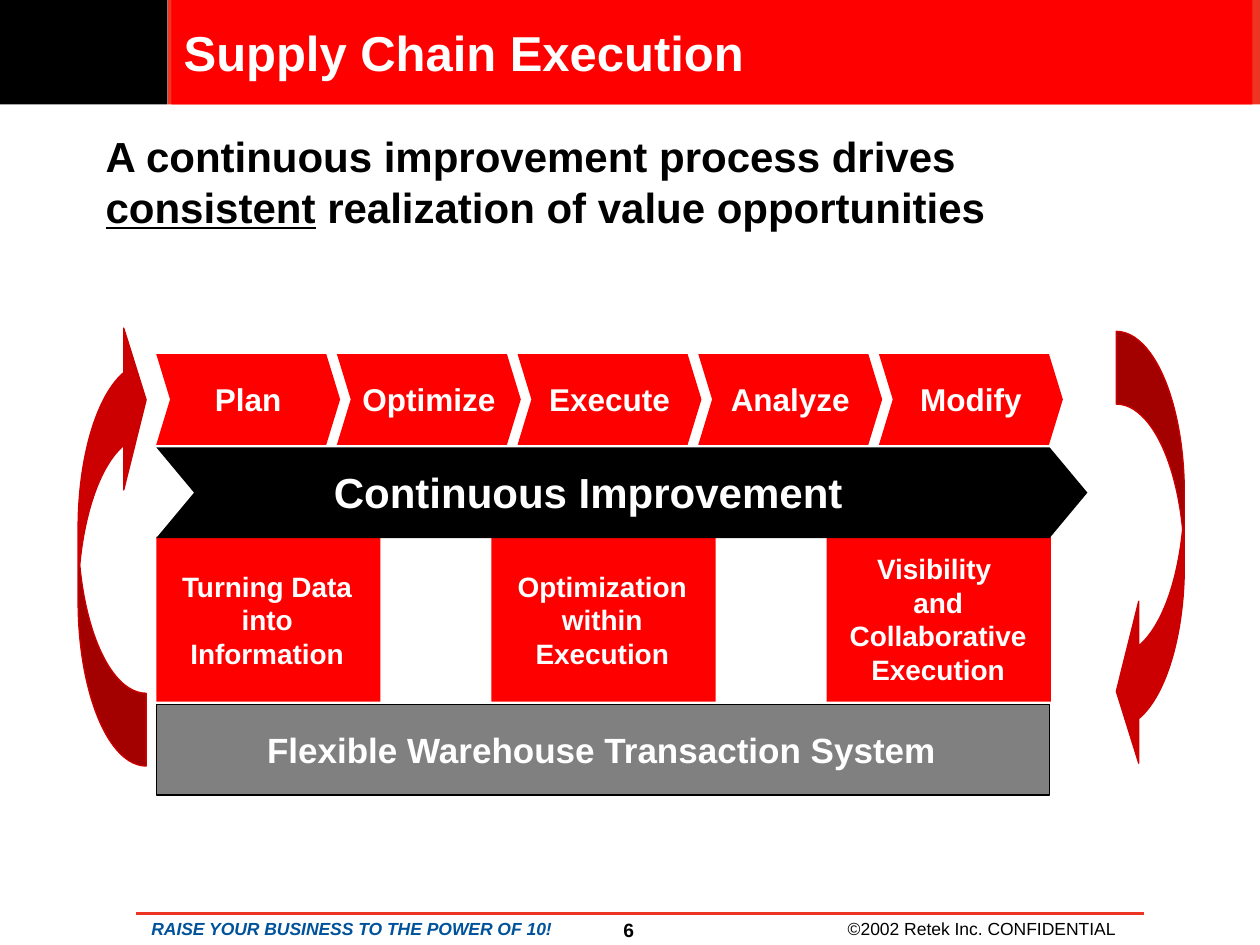
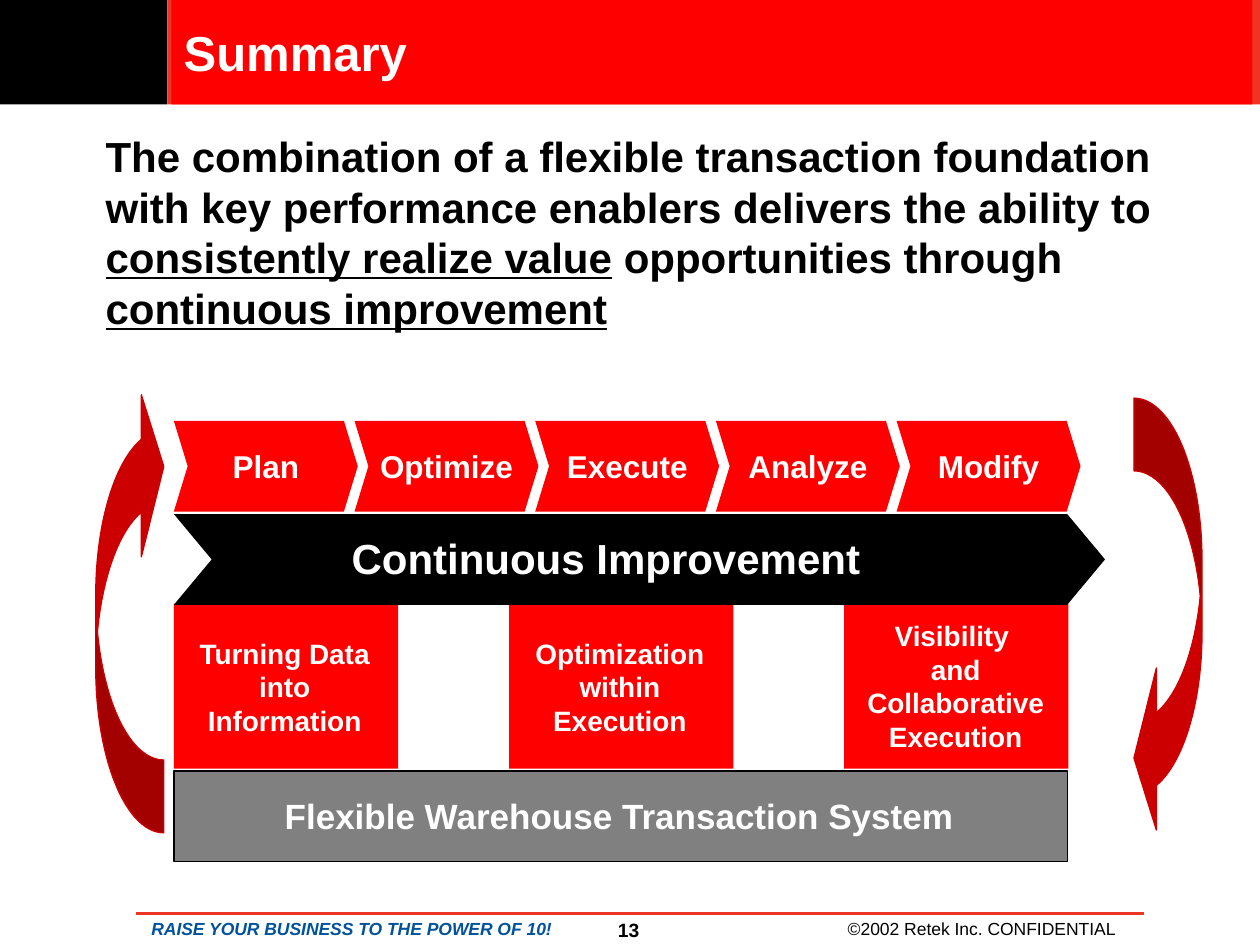
from dataclasses import dataclass
from typing import NamedTuple, Optional

from lxml.etree import SubElement
from pptx import Presentation
from pptx.dml.color import RGBColor
from pptx.enum.shapes import MSO_CONNECTOR, MSO_SHAPE
from pptx.enum.text import MSO_ANCHOR as Anchor, PP_ALIGN as Align
from pptx.oxml.ns import qn
from pptx.util import Inches, Pt

FONT = "Arial"
BLACK = RGBColor(0x00, 0x00, 0x00)
WHITE = RGBColor(0xFF, 0xFF, 0xFF)
RED = RGBColor(0xFF, 0x00, 0x00)
ORANGE_RED = RGBColor(0xEE, 0x35, 0x24)
ARROW_RED = RGBColor(0xCC, 0x00, 0x00)
GRAY = RGBColor(0x80, 0x80, 0x80)
BLUE = RGBColor(0x00, 0x53, 0x9B)

BAND_HEIGHT = 0.83
DIAGRAM_LEFT = 1.24
DIAGRAM_WIDTH = 7.09
ROW_HEIGHT = 0.72
STEP_TOP = 2.81
STEP_PITCH = 1.434
STEP_WIDTH = 1.46
BANNER_TOP = 3.55
PILLAR_TOP = 4.26
PILLAR_PITCH = 2.66
PILLAR_WIDTH = 1.78
PILLAR_HEIGHT = 1.31
BASE_TOP = 5.59
ARROW_ADJUSTMENTS = (1.07, 2.38, 0.33)  # ribbon, head width, head length

STEPS = ["Plan", "Optimize", "Execute", "Analyze", "Modify"]


class Box(NamedTuple):
    left: float
    top: float
    width: float
    height: float

    def emu(self) -> list:
        return [Inches(length) for length in self]


class Words(NamedTuple):
    text: str
    underline: bool = False


class CurvedArrow(NamedTuple):
    box: Box
    rotation: float


@dataclass(frozen=True)
class TextStyle:
    size: float
    color: RGBColor = WHITE
    bold: bool = True
    italic: bool = False
    align: Align = Align.CENTER
    anchor: Anchor = Anchor.TOP
    wrap: bool = True


@dataclass(frozen=True)
class Pillar:
    paragraphs: list
    text_box: Box


@dataclass(frozen=True)
class Page:
    number: int
    title: str
    message: list
    message_box: Box
    shift_x: float = 0
    shift_y: float = 0


TITLE_STYLE = TextStyle(28, align=Align.LEFT, anchor=Anchor.MIDDLE)
MESSAGE_STYLE = TextStyle(24, BLACK, align=Align.LEFT)
NUMBER_STYLE = TextStyle(11, BLACK)
COPYRIGHT_STYLE = TextStyle(10, BLACK, bold=False, anchor=Anchor.MIDDLE)
SLOGAN_STYLE = TextStyle(10, BLUE, italic=True, anchor=Anchor.MIDDLE)
STEP_STYLE = TextStyle(18)
BANNER_STYLE = TextStyle(24, wrap=False)
PILLAR_STYLE = TextStyle(16)
BASE_STYLE = TextStyle(20)

PILLARS = [
    Pillar([[Words("Turning Data into Information")]], Box(1.27, 4.47, 1.7, 0.9)),
    Pillar([[Words("Optimization within Execution")]], Box(4, 4.47, 1.56, 0.9)),
    Pillar([[Words("Visibility ")], [Words("and Collaborative Execution")]],
           Box(6.64, 4.33, 1.61, 1.17)),
]
CURVED_ARROWS = [CurvedArrow(Box(8.86, 2.63, 0.54, 3.5), 0),
                 CurvedArrow(Box(0.62, 2.53, 0.54, 3.55), 180)]

PAGES = [
    Page(6, "Supply Chain Execution",
         [Words("A continuous improvement process drives "),
          Words("consistent", True),
          Words(" realization of value opportunities")],
         Box(0.74, 0.99, 8.67, 0.89)),
    Page(13, "Summary",
         [Words("The combination of a flexible transaction foundation with key "
                "performance enablers delivers the ability to "),
          Words("consistently realize value", True),
          Words(" opportunities through "),
          Words("continuous improvement", True)],
         Box(0.74, 0.99, 9.07, 1.69), 0.14, 0.53),
]


def paint(shape, fill: RGBColor, line: Optional[RGBColor] = None) -> None:
    shape.shadow.inherit = False
    shape.fill.solid()
    shape.fill.fore_color.rgb = fill
    if line is None:
        shape.line.fill.background()
    else:
        shape.line.color.rgb = line
        shape.line.width = Pt(0.75)


def write(shape, paragraphs: list, style: TextStyle) -> None:
    frame = shape.text_frame
    frame.word_wrap = style.wrap
    frame.vertical_anchor = style.anchor
    for index, words_list in enumerate(paragraphs):
        paragraph = frame.add_paragraph() if index else frame.paragraphs[0]
        paragraph.alignment = style.align
        for words in words_list:
            run = paragraph.add_run()
            run.text = words.text
            font = run.font
            font.name, font.size = FONT, Pt(style.size)
            font.bold, font.italic = style.bold, style.italic
            font.underline = words.underline
            font.color.rgb = style.color


def add_rectangle(shapes, box: Box, fill: RGBColor, line: Optional[RGBColor] = None):
    rectangle = shapes.add_shape(MSO_SHAPE.RECTANGLE, *box.emu())
    paint(rectangle, fill, line)
    return rectangle


def add_text(shapes, box: Box, paragraphs: list, style: TextStyle) -> None:
    write(shapes.add_textbox(*box.emu()), paragraphs, style)


def add_chevron(shapes, box: Box, notch: float, fill: RGBColor) -> None:
    left, top, width, height = box
    right, middle, bottom = left + width, top + height / 2, top + height
    corners = [(left, top), (right - notch, top), (right, middle),
               (right - notch, bottom), (left, bottom), (left + notch, middle)]
    start, *rest = [(Inches(x), Inches(y)) for x, y in corners]
    builder = shapes.build_freeform(*start, scale=1.0)
    builder.add_line_segments(rest, close=True)
    paint(builder.convert_to_shape(), fill)


def add_curved_arrow(shapes, arrow: CurvedArrow) -> None:
    shape = shapes.add_shape(MSO_SHAPE.CURVED_LEFT_ARROW, *arrow.box.emu())
    for index, value in enumerate(ARROW_ADJUSTMENTS):
        shape.adjustments[index] = value
    shape.rotation = arrow.rotation
    paint(shape, ARROW_RED, ARROW_RED)


def add_frame(slide, page: Page) -> None:
    """Draw the title band and footer."""
    shapes = slide.shapes
    add_rectangle(shapes, Box(1.33, 0, 8.67, BAND_HEIGHT), ORANGE_RED)
    add_rectangle(shapes, Box(0, 0, 1.33, BAND_HEIGHT), BLACK)
    add_text(shapes, Box(6.49, 7.26, 2.6, 0.22),
             [[Words("©2002 Retek Inc. CONFIDENTIAL")]], COPYRIGHT_STYLE)
    add_text(shapes, Box(4.28, 7.24, 1.42, 0.29),
             [[Words(str(page.number))]], NUMBER_STYLE)
    rule = shapes.add_connector(MSO_CONNECTOR.STRAIGHT, Inches(9.08), Inches(7.25),
                                Inches(1.08), Inches(7.25))
    rule.line.color.rgb = ORANGE_RED
    rule.line.width = Pt(1.5)
    SubElement(rule._element.spPr, qn("a:effectLst"))
    add_text(shapes, Box(0.99, 7.26, 3.6, 0.22),
             [[Words("RAISE YOUR BUSINESS TO THE POWER OF 10!")]], SLOGAN_STYLE)
    title = add_rectangle(shapes, Box(1.36, 0, 8.58, BAND_HEIGHT), RED)
    write(title, [[Words(page.title)]], TITLE_STYLE)


def add_improvement_diagram(slide, shift_x: float, shift_y: float) -> None:
    group = slide.shapes.add_group_shape()
    shapes = group.shapes
    add_rectangle(shapes, Box(DIAGRAM_LEFT, BASE_TOP, DIAGRAM_WIDTH, ROW_HEIGHT),
                  GRAY, BLACK)
    add_text(shapes, Box(1.71, 5.73, 6.13, 0.44),
             [[Words("Flexible Warehouse Transaction System")]], BASE_STYLE)
    for arrow in CURVED_ARROWS:
        add_curved_arrow(shapes, arrow)
    for index, pillar in enumerate(PILLARS):
        left = DIAGRAM_LEFT + index * PILLAR_PITCH
        add_rectangle(shapes, Box(left, PILLAR_TOP, PILLAR_WIDTH, PILLAR_HEIGHT), RED)
        add_text(shapes, pillar.text_box, pillar.paragraphs, PILLAR_STYLE)
    add_chevron(shapes, Box(DIAGRAM_LEFT, BANNER_TOP, 7.39, ROW_HEIGHT), 0.3, BLACK)
    add_text(shapes, Box(2.55, 3.65, 4.33, 0.5),
             [[Words("Continuous Improvement ")]], BANNER_STYLE)
    for index, step in enumerate(STEPS):
        left = DIAGRAM_LEFT + index * STEP_PITCH
        add_chevron(shapes, Box(left, STEP_TOP, STEP_WIDTH, ROW_HEIGHT), 0.11, RED)
        add_text(shapes, Box(left + 0.07, STEP_TOP + 0.16, 1.32, 0.4),
                 [[Words(step)]], STEP_STYLE)
    group.left += Inches(shift_x)
    group.top += Inches(shift_y)


def main() -> None:
    presentation = Presentation()
    presentation.slide_width, presentation.slide_height = Inches(10), Inches(7.5)
    for page in PAGES:
        slide = presentation.slides.add_slide(presentation.slide_layouts[6])
        add_frame(slide, page)
        add_text(slide.shapes, page.message_box, [page.message], MESSAGE_STYLE)
        add_improvement_diagram(slide, page.shift_x, page.shift_y)
    presentation.save("out.pptx")


if __name__ == "__main__":
    main()
